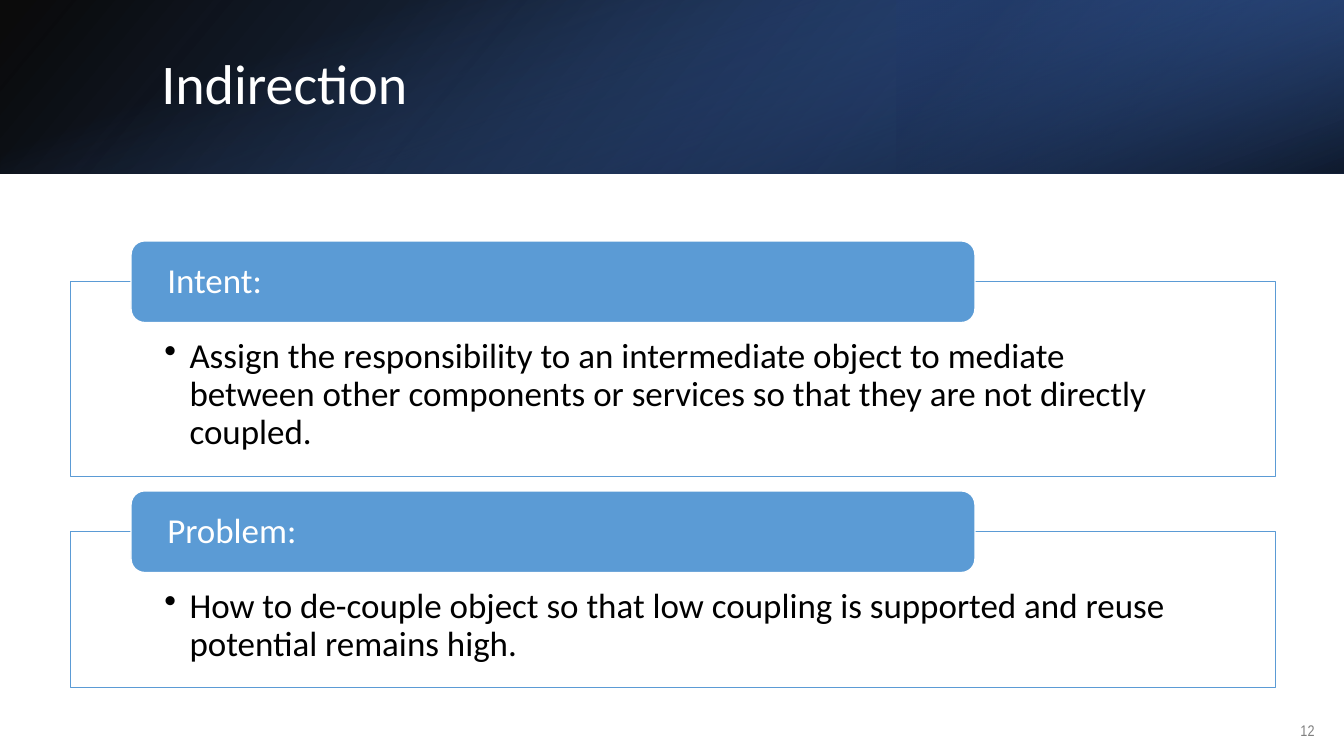
from lxml import etree
from pptx import Presentation
from pptx.dml.color import RGBColor
from pptx.enum.shapes import MSO_SHAPE as SHAPE
from pptx.enum.text import MSO_ANCHOR as ANCHOR, PP_ALIGN as ALIGN
from pptx.oxml import parse_xml
from pptx.oxml.ns import nsdecls, qn
from pptx.util import Inches, Pt

WIDTH, HEADER_H = 13.33, 1.72
BLUE, WHITE = "5B9BD5", "FFFFFF"


def rgb(color):
    """Turn a hex string into a colour."""
    return RGBColor.from_string(color)


def add_box(slide, kind, at, fill=None, line=None):
    """Add a preset shape without shadow."""
    sp = slide.shapes.add_shape(kind, *map(Inches, at))
    sp.shadow.inherit = False
    if fill:
        sp.fill.solid()
        sp.fill.fore_color.rgb = rgb(fill)
    if line:
        sp.line.color.rgb = rgb(line)
        sp.line.width = Pt(1)
    else:
        sp.line.fill.background()
    return sp


def set_alpha(sp, percent):
    """Set the opacity of a solid fill."""
    color = sp.element.spPr.find(qn("a:solidFill")).find(qn("a:srgbClr"))
    etree.SubElement(color, qn("a:alpha")).set("val", str(percent * 1000))


def add_gradient(slide, at, stops, angle, rotation=0, flip=False):
    """Add a rectangle with a translucent linear gradient."""
    sp = add_box(slide, SHAPE.RECTANGLE, at)
    sp.rotation = rotation
    spPr = sp.element.spPr
    if flip:
        spPr.find(qn("a:xfrm")).set("flipH", "1")
    marks = "".join(
        f'<a:gs pos="{pos * 1000}"><a:srgbClr val="{color}">'
        f'<a:alpha val="{alpha * 1000}"/></a:srgbClr></a:gs>'
        for pos, color, alpha in stops)
    spPr.find(qn("a:prstGeom")).addnext(parse_xml(
        f'<a:gradFill {nsdecls("a")} rotWithShape="1"><a:gsLst>{marks}</a:gsLst>'
        f'<a:lin ang="{angle * 60000}" scaled="0"/></a:gradFill>'))


def set_text(sp, text, size, color, font="Calibri", anchor=ANCHOR.MIDDLE,
             insets=(0.1, 0.05, 0.1, 0.05), bullet=False):
    """Write one left-aligned paragraph into a shape."""
    tf = sp.text_frame
    tf.word_wrap = True
    tf.vertical_anchor = anchor
    tf.margin_left, tf.margin_top, tf.margin_right, tf.margin_bottom = map(Inches, insets)
    p = tf.paragraphs[0]
    p.alignment = ALIGN.LEFT
    p.line_spacing = 0.9
    if bullet:
        pPr = p._p.get_or_add_pPr()
        pPr.set("marL", str(Inches(0.25)))
        pPr.set("indent", str(-Inches(0.25)))
        etree.SubElement(pPr, qn("a:buChar")).set("char", "•")
    r = p.add_run()
    r.text = text
    r.font.size = Pt(size)
    r.font.name = font
    r.font.color.rgb = rgb(color)


def add_header(slide, title):
    """Layer the header gradients and put the title over them."""
    add_gradient(slide, (0, 0, WIDTH, HEADER_H),
                 [(0, "000000", 96), (100, "2F5597", 100)], 140, flip=True)
    add_gradient(slide, (8.89, 0, 4.44, HEADER_H),
                 [(19, "203864", 68), (100, "4472C4", 79)], 320, 180, True)
    offset = (WIDTH - HEADER_H) / 2
    add_gradient(slide, (offset, -offset, HEADER_H, WIDTH),
                 [(23, "4472C4", 0), (99, "000000", 74)], 340, 90)
    sp = slide.shapes.title
    sp.left, sp.top, sp.width, sp.height = map(Inches, (1.5, 0.38, 10.98, 0.96))
    set_text(sp, title, 40, WHITE)
    slide.shapes._spTree.append(sp.element)


def add_section(slide, top, height, label, text):
    """Add a framed bullet with a label tab on its top edge."""
    frame = add_box(slide, SHAPE.RECTANGLE, (0.7, top, 11.95, height), WHITE, BLUE)
    set_alpha(frame, 90)
    set_text(frame, text, 25, "000000", anchor=ANCHOR.TOP,
             insets=(0.93, 0.57, 0.93, 0.19), bullet=True)
    tab = add_box(slide, SHAPE.ROUNDED_RECTANGLE, (1.3, top - 0.4, 8.37, 0.81), BLUE, WHITE)
    set_text(tab, label, 25, WHITE, insets=(0.32, 0, 0.32, 0))


def main():
    """Build the slide and save it."""
    prs = Presentation()
    prs.slide_width, prs.slide_height = Inches(WIDTH), Inches(7.5)
    slide = prs.slides.add_slide(prs.slide_layouts[5])
    add_header(slide, "Indirection")
    number = slide.shapes.add_textbox(*map(Inches, (12.8, 7.06, 0.49, 0.4)))
    set_text(number, "12", 11, "808080", "Arial Narrow")
    add_section(slide, 2.79, 1.94, "Intent:",
                "Assign the responsibility to an intermediate object to mediate between "
                "other components or services so that they are not directly coupled.")
    add_section(slide, 5.27, 1.55, "Problem:",
                "How to de-couple object so that low coupling is supported and reuse "
                "potential remains high.")
    prs.save("out.pptx")


if __name__ == "__main__":
    main()
